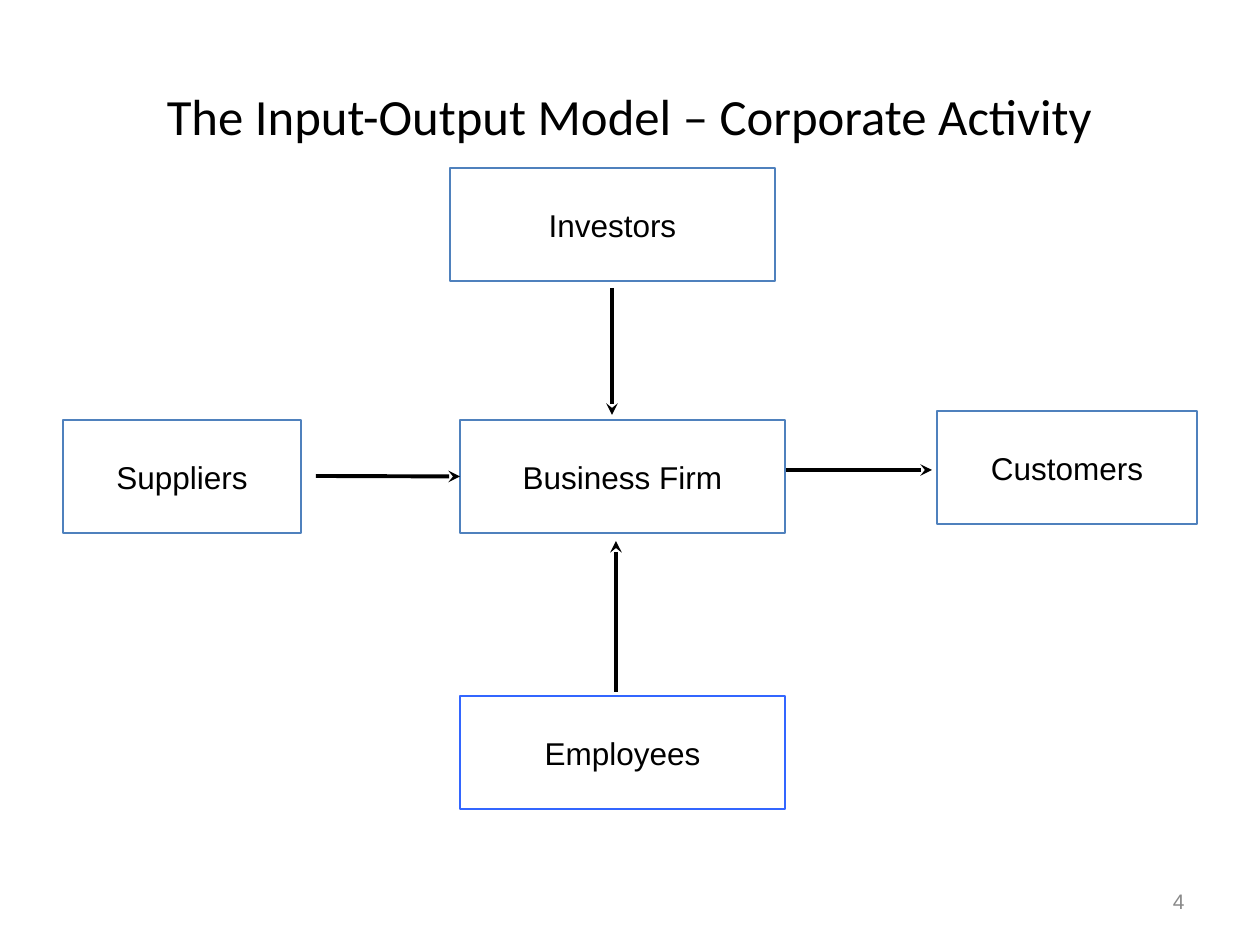
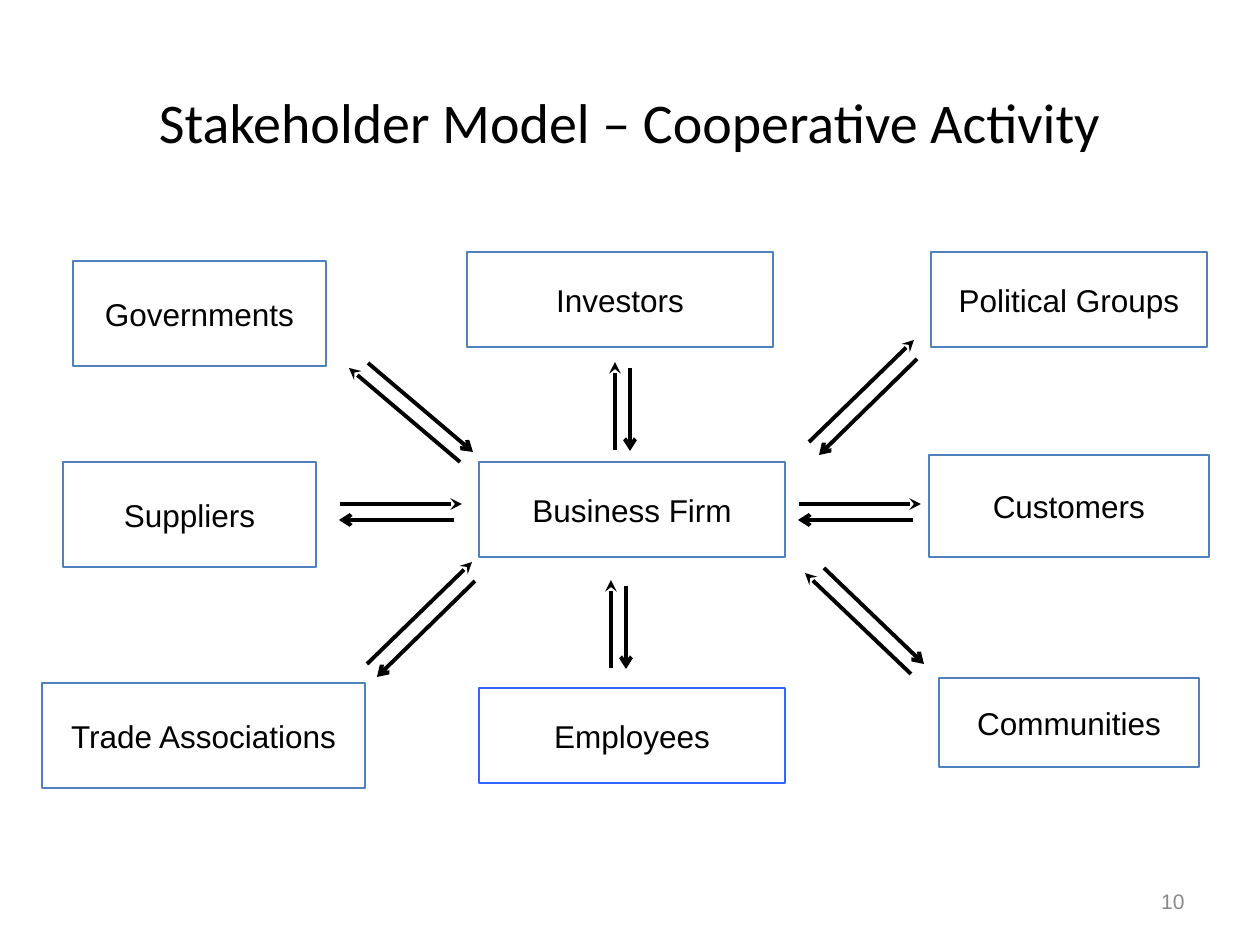
from lxml import etree
from pptx import Presentation
from pptx.dml.color import RGBColor
from pptx.enum.shapes import MSO_CONNECTOR, MSO_SHAPE
from pptx.enum.text import MSO_ANCHOR, MSO_AUTO_SIZE, PP_ALIGN
from pptx.oxml.ns import qn
from pptx.util import Emu, Pt

SCALE = 914400 / 126  # EMU in one px
BLACK, WHITE, GREY = "000000", "FFFFFF", "898989"
STEEL, BLUE = "4F81BD", "3366FF"


def rgb(value):
    return RGBColor.from_string(value)


def write(shape, text, size, font="Arial", color=BLACK, align=PP_ALIGN.CENTER, wrap=True):
    frame = shape.text_frame
    frame.word_wrap = wrap
    frame.auto_size = MSO_AUTO_SIZE.NONE
    frame.vertical_anchor = MSO_ANCHOR.MIDDLE
    paragraph = frame.paragraphs[0]
    paragraph.alignment = align
    run = paragraph.add_run()
    run.text = text
    run.font.size = Pt(size)
    run.font.name = font
    run.font.color.rgb = rgb(color)


# Input-output model: one-way arrows
corporate_boxes = [
    ("Business Firm", 460, 420, 325, 113, STEEL),
    ("Customers", 937, 411, 260, 113, STEEL),
    ("Investors", 450, 168, 325, 113, STEEL),
    ("Employees", 460, 696, 325, 113, BLUE),
    ("Suppliers", 63, 420, 238, 113, STEEL),
]
# Each arrow: start x, start y, end x, end y, head, box joined at its left side
corporate_arrows = [
    (786, 470, 932, 470, "stealth", None),
    (316, 476, 460, 476, "stealth", "Business Firm"),
    (616, 692, 616, 541, "stealth", None),
    (612, 288, 612, 415, "stealth", None),
]

# Stakeholder model: pairs of opposite arrows
stakeholder_boxes = [
    ("Business Firm", 479, 462, 306, 95, STEEL),
    ("Customers", 929, 455, 280, 102, STEEL),
    ("Investors", 467, 252, 306, 95, STEEL),
    ("Employees", 479, 688, 306, 95, BLUE),
    ("Suppliers", 63, 462, 253, 105, STEEL),
    ("Governments", 73, 261, 253, 105, STEEL),
    ("Political Groups", 931, 252, 276, 95, STEEL),
    ("Trade Associations", 42, 683, 323, 105, STEEL),
    ("Communities", 939, 678, 260, 89, STEEL),
]
# Outward and return arrow, then the shifts at which the pair is placed
arrow_pairs = [
    ((340, 504, 462, 504), (454, 520, 339, 520), [(0, 0), (459, 0)]),
    ((615, 450, 615, 362), (630, 368, 630, 451), [(0, 0), (-4, 218)]),
    ((809, 442, 914, 340), (917, 359, 819, 455), [(0, 0), (-442, 222)]),
    ((911, 674, 805, 573), (824, 568, 924, 664), [(0, 0)]),
    ((460, 462, 349, 368), (368, 363, 473, 452), [(0, 0)]),
]
stakeholder_arrows = []
for outward, back, shifts in arrow_pairs:
    for dx, dy in shifts:
        for (x1, y1, x2, y2), head in ((outward, "stealth"), (back, "arrow")):
            stakeholder_arrows.append((x1 + dx, y1 + dy, x2 + dx, y2 + dy, head, None))

# Title, title size, title height, slide number, boxes, arrows
slides = [
    ("The Input-Output Model – Corporate Activity", 29, 105, "4",
     corporate_boxes, corporate_arrows),
    ("Stakeholder Model – Cooperative Activity", 32, 116, "10",
     stakeholder_boxes, stakeholder_arrows),
]

presentation = Presentation()
presentation.slide_width = Emu(int(1260 * SCALE))
presentation.slide_height = Emu(int(945 * SCALE))

for title_text, title_size, title_height, number, boxes, arrows in slides:
    slide = presentation.slides.add_slide(presentation.slide_layouts[5])
    slide.background.fill.solid()
    slide.background.fill.fore_color.rgb = rgb(WHITE)

    # Title
    title = slide.shapes.title
    title.left, title.top, title.width, title.height = [
        Emu(int(v * SCALE)) for v in (63, 63, 1134, title_height)]
    write(title, title_text, title_size, "Calibri")

    # Boxes
    box_by_name = {}
    for name, *place, outline in boxes:
        box = slide.shapes.add_shape(MSO_SHAPE.RECTANGLE, *[Emu(int(v * SCALE)) for v in place])
        box.shadow.inherit = False
        box.fill.solid()
        box.fill.fore_color.rgb = rgb(WHITE)
        box.line.color.rgb = rgb(outline)
        box.line.width = Pt(1)
        write(box, name, 18, wrap=False)
        box_by_name[name] = box

    # Arrows
    for *ends, head, target in arrows:
        arrow = slide.shapes.add_connector(
            MSO_CONNECTOR.STRAIGHT, *[Emu(int(v * SCALE)) for v in ends])
        if target:
            arrow.end_connect(box_by_name[target], 1)
        arrow.line.color.rgb = rgb(BLACK)
        arrow.line.width = Pt(2.25)
        etree.SubElement(arrow.line._get_or_add_ln(), qn("a:tailEnd"), type=head)
        etree.SubElement(arrow._element.spPr, qn("a:effectLst"))

    # Slide number
    number_box = slide.shapes.add_textbox(*[Emu(int(v * SCALE)) for v in (903, 876, 294, 50)])
    write(number_box, number, 12, color=GREY, align=PP_ALIGN.RIGHT)

presentation.save("out.pptx")
